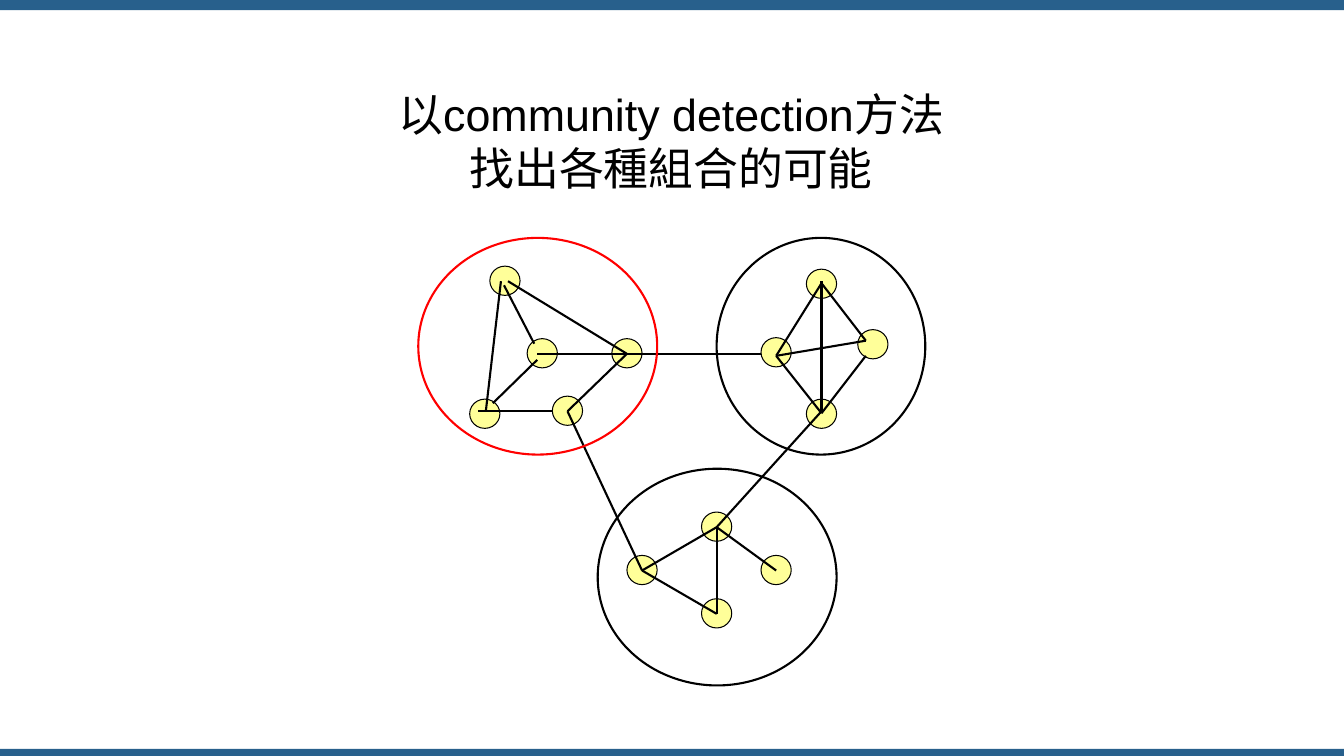
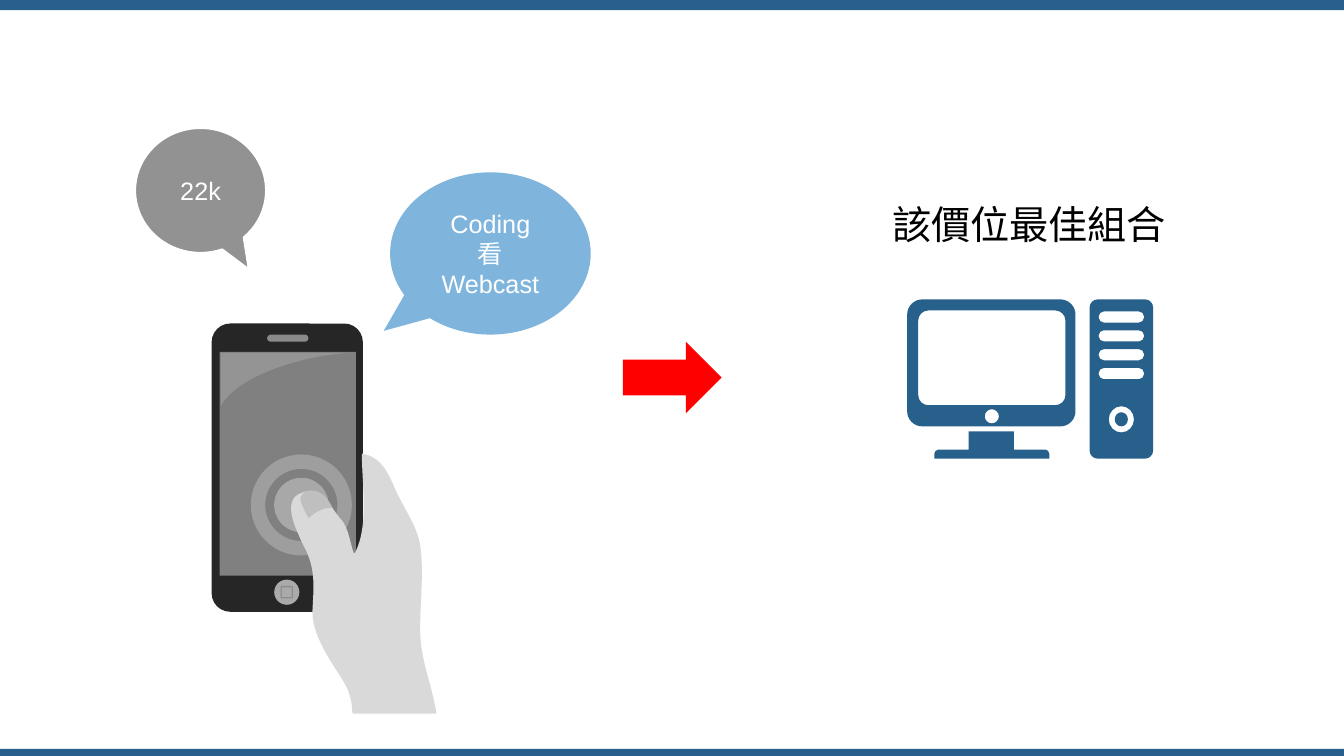
"""Build two slides: communities in a graph, and a phone request answered by a computer."""
from dataclasses import dataclass

from lxml.etree import SubElement
from pptx import Presentation
from pptx.dml.color import RGBColor
from pptx.enum.shapes import MSO_CONNECTOR, MSO_SHAPE
from pptx.enum.text import MSO_ANCHOR, MSO_AUTO_SIZE, PP_ALIGN
from pptx.oxml.ns import qn
from pptx.util import Inches, Pt


@dataclass(frozen=True)
class Theme:
    font: str = "Arial"
    title_size: int = 32
    caption_size: int = 28
    callout_size: int = 18
    blue: str = "28608C"
    sky: str = "7FB5DD"
    red: str = "FF0000"
    yellow: str = "FFFF99"
    black: str = "000000"
    white: str = "FFFFFF"
    dark: str = "262626"
    screen: str = "808080"
    button: str = "ECECEC"
    callout: str = "929292"
    hand: str = "D9D9D9"
    nail: str = "BFBFBF"


theme = Theme()


def paint(shape, fill=None, line=None, width=1.0, opacity=100):
    """Set fill, line and opacity, and drop the shadow."""
    shape.shadow.inherit = False
    if fill:
        shape.fill.solid()
        shape.fill.fore_color.rgb = RGBColor.from_string(fill)
    else:
        shape.fill.background()
    if line:
        shape.line.color.rgb = RGBColor.from_string(line)
        shape.line.width = Pt(width)
    else:
        shape.line.fill.background()
    if opacity < 100:
        for colour in shape.element.spPr.iter(qn("a:srgbClr")):
            SubElement(colour, qn("a:alpha")).set("val", str(opacity * 1000))


def draw_outline(page, contours, fill, opacity=100):
    """Draw closed contours; each step ends in a point, and a six-number step is a cubic curve."""
    builder = None
    for contour in contours:
        ends = [(round(step[-2] * 1000), round(step[-1] * 1000)) for step in contour]
        if builder is None:
            builder = page.shapes.build_freeform(*ends[0], scale=Inches(1) / 1000)
        else:
            builder.move_to(*ends[0])
        builder.add_line_segments(ends[1:], close=False)
    outline = builder.convert_to_shape()
    route = next(outline.element.iter(qn("a:path")))
    segments = list(route)
    steps = [step for contour in contours for step in contour]
    left, top = (min(round(step[axis] * 1000) for step in steps) for axis in (-2, -1))
    for segment, step in zip(segments, steps):
        if len(step) == 6:
            curve = SubElement(route, qn("a:cubicBezTo"))
            for x, y in zip(step[::2], step[1::2]):
                point = SubElement(curve, qn("a:pt"))
                point.set("x", str(round(x * 1000) - left))
                point.set("y", str(round(y * 1000) - top))
            route.replace(segment, curve)
    for segment in segments[1:]:
        if segment.tag == qn("a:moveTo"):
            segment.addprevious(segment.makeelement(qn("a:close")))
    SubElement(route, qn("a:close"))
    paint(outline, fill, opacity=opacity)


deck = Presentation()
deck.slide_width, deck.slide_height = Inches(40 / 3), Inches(7.5)
layout = deck.slide_layouts[5]
graph_page, phone_page = (deck.slides.add_slide(layout) for number in range(2))

for index, (top, height) in enumerate([(0, 0.1), (7.43, 0.07)]):
    band = graph_page.shapes.add_shape(
        MSO_SHAPE.RECTANGLE, 0, Inches(top), deck.slide_width, Inches(height))
    paint(band, theme.blue)
    band.element.nvSpPr.cNvPr.id = 20 + index
    deck.slide_master.shapes.element.append(band.element)

for page, text, place, size, align in [
    (graph_page, "以community detection方法\n找出各種組合的可能", (3.83, 0.81, 5.66, 1.18),
     theme.title_size, PP_ALIGN.CENTER),
    (phone_page, "該價位最佳組合", (8.75, 1.94, 2.95, 0.57), theme.caption_size, PP_ALIGN.LEFT),
]:
    title = page.shapes.title
    title.left, title.top, title.width, title.height = map(Inches, place)
    frame = title.text_frame
    frame.text = text
    frame.word_wrap = True
    frame.auto_size = MSO_AUTO_SIZE.SHAPE_TO_FIT_TEXT
    frame.vertical_anchor = MSO_ANCHOR.TOP
    for para in frame.paragraphs:
        para.alignment = align
        para.font.name, para.font.size = theme.font, Pt(size)
        para.font.color.rgb = RGBColor.from_string(theme.black)

for left, top in [
    (4.86, 2.64), (5.23, 3.36), (5.48, 3.93), (6.07, 3.36), (4.66, 3.96),
    (8, 2.67), (7.55, 3.35), (8.51, 3.27), (8, 3.96),
    (6.22, 5.51), (6.96, 5.08), (6.96, 5.94), (7.55, 5.51),
]:
    node = graph_page.shapes.add_shape(
        MSO_SHAPE.OVAL, Inches(left), Inches(top), Inches(0.3), Inches(0.29))
    paint(node, theme.yellow, theme.black, 0.75)

for ends in [
    (5, 2.83, 5.3, 3.41), (4.97, 2.79, 4.82, 4.08), (5.33, 3.57, 4.89, 4),
    (5.33, 3.51, 6.22, 3.51), (4.74, 4.08, 5.48, 4.08), (6.22, 3.51, 5.63, 4.08),
    (5.04, 2.79, 6.22, 3.51), (7.7, 3.53, 8.15, 2.81), (8.15, 2.81, 8.59, 3.38),
    (7.7, 3.53, 8.15, 4.1), (8.59, 3.53, 8.15, 4.1), (6.22, 3.51, 7.55, 3.51),
    (7.7, 3.53, 8.59, 3.38), (8.15, 2.79, 8.15, 4.08), (6.37, 5.66, 7.11, 5.23),
    (7.11, 5.23, 7.11, 6.09), (6.37, 5.66, 7.11, 6.09), (5.63, 4.08, 6.37, 5.66),
    (7.11, 5.23, 8.15, 4.08), (7.11, 5.23, 7.7, 5.66),
]:
    edge = graph_page.shapes.add_connector(MSO_CONNECTOR.STRAIGHT, *map(Inches, ends))
    edge.line.color.rgb = RGBColor.from_string(theme.black)
    edge.line.width = Pt(1.5)
    SubElement(edge.element.spPr, qn("a:effectLst"))

for left, top, width, colour in [
    (4.15, 2.36, 2.37, theme.red), (7.11, 2.36, 2.07, theme.black), (5.93, 4.65, 2.37, theme.black),
]:
    community = graph_page.shapes.add_shape(
        MSO_SHAPE.OVAL, Inches(left), Inches(top), Inches(width), Inches(2.15))
    paint(community, line=colour, width=1.5)

glare = [(2.19, 3.5), (3.51, 3.5), (3.07, 3.51, 2.36, 3.71, 2.19, 4.03)]
hand = [
    (3.59, 4.5), (3.78, 4.53, 3.85, 4.69, 3.92, 4.85), (4, 5.04, 4.14, 5.21, 4.17, 5.42),
    (4.21, 5.71, 4.16, 6.01, 4.17, 6.3), (4.18, 6.57, 4.29, 6.81, 4.33, 7.08), (3.5, 7.08),
    (3.48, 6.99, 3.51, 7.01, 3.45, 6.84), (3.38, 6.68, 3.09, 6.35, 3.1, 6.06),
    (3.11, 5.84, 3.14, 5.64, 3.01, 5.41), (2.97, 5.32, 2.87, 5.13, 2.89, 5.01),
    (2.9, 4.95, 2.93, 4.91, 2.99, 4.89),
    (3.19, 4.8, 3.3, 5.07, 3.39, 5.16), (3.48, 5.26, 3.5, 5.58, 3.53, 5.47),
    (3.66, 5.19, 3.59, 4.8, 3.59, 4.5),
]
nail = [
    (3.05, 4.87), (3.2, 4.84, 3.27, 4.98, 3.3, 5.04), (3.24, 5.03, 3.15, 5.06, 3.06, 5.14),
    (3.02, 5.06, 2.98, 4.99, 2.98, 4.94), (2.99, 4.91, 3.01, 4.88, 3.05, 4.87),
]

for kind, place, corner, style in [
    (MSO_SHAPE.ROUNDED_RECTANGLE, (2.1, 3.21, 1.5, 2.86), 0.123, {"fill": theme.dark}),
    (MSO_SHAPE.RECTANGLE, (2.18, 3.49, 1.35, 2.22), None, {"fill": theme.screen}),
    (MSO_SHAPE.ROUNDED_RECTANGLE, (2.65, 3.32, 0.41, 0.07), 0.5,
     {"fill": theme.button, "opacity": 51}),
    (MSO_SHAPE.OVAL, (2.72, 5.75, 0.25, 0.25), None, {"fill": theme.button, "opacity": 67}),
    (MSO_SHAPE.RECTANGLE, (2.79, 5.82, 0.11, 0.11), None, {"line": theme.dark, "opacity": 22}),
    (MSO_SHAPE.OVAL, (2.72, 4.74, 0.54, 0.54), None, {"fill": theme.white, "opacity": 32}),
    (MSO_SHAPE.OVAL, (2.56, 4.58, 0.86, 0.86), None,
     {"line": theme.white, "width": 10.25, "opacity": 24}),
]:
    part = phone_page.shapes.add_shape(kind, *map(Inches, place))
    if corner:
        part.adjustments[0] = corner
    paint(part, **style)

draw_outline(phone_page, [glare], theme.white, 16)
draw_outline(phone_page, [hand], theme.hand)
draw_outline(phone_page, [nail], theme.nail)

for text, place, tail, style in [
    ("Coding\n看Webcast", (3.87, 1.71, 1.99, 1.61), (-0.532, 0.477), {"fill": theme.sky}),
    ("22k", (1.34, 1.27, 1.3, 1.24), (0.369, 0.632),
     {"fill": theme.callout, "line": theme.white, "width": 1.5}),
]:
    callout = phone_page.shapes.add_shape(MSO_SHAPE.OVAL_CALLOUT, *map(Inches, place))
    callout.adjustments[0], callout.adjustments[1] = tail
    paint(callout, **style)
    callout.text_frame.text = text
    callout.text_frame.vertical_anchor = MSO_ANCHOR.MIDDLE
    for para in callout.text_frame.paragraphs:
        para.alignment = PP_ALIGN.CENTER
        para.font.name, para.font.size = theme.font, Pt(theme.callout_size)
        para.font.color.rgb = RGBColor.from_string(theme.white)

arrow = phone_page.shapes.add_shape(
    MSO_SHAPE.RIGHT_ARROW, Inches(6.18), Inches(3.39), Inches(0.98), Inches(0.71))
paint(arrow, theme.red)

stand = [
    (9.61, 4.28), (10.06, 4.28), (10.06, 4.46), (10.37, 4.46),
    (10.39, 4.46, 10.41, 4.48, 10.41, 4.5), (10.41, 4.55), (9.27, 4.55), (9.27, 4.5),
    (9.27, 4.48, 9.29, 4.46, 9.31, 4.46), (9.61, 4.46),
]
monitor = [(9, 2.97, 1.67, 1.26, 0.15), (9.11, 3.08, 1.46, 0.94, 0.1), (9.77, 4.06, 0.14, 0.14, 0.07)]
slots = [(10.9, 3.09 + 0.187 * row, 0.45, 0.11, 0.05) for row in range(4)]
tower = [(10.81, 2.97, 0.63, 1.58, 0.08), (11, 4.03, 0.25, 0.26, 0.13), (11.06, 4.09, 0.13, 0.14, 0.07)]
computer = [stand]
for left, top, width, height, radius in monitor + tower + slots:
    right, bottom = left + width, top + height
    across, down = min(radius, width / 2), min(radius, height / 2)
    pull_x, pull_y = across * 0.45, down * 0.45
    corners = [
        (left + across, top), (right - across, top),
        (right - pull_x, top, right, top + pull_y, right, top + down), (right, bottom - down),
        (right, bottom - pull_y, right - pull_x, bottom, right - across, bottom),
        (left + across, bottom),
        (left + pull_x, bottom, left, bottom - pull_y, left, bottom - down), (left, top + down),
        (left, top + pull_y, left + pull_x, top, left + across, top),
    ]
    round_only = across == width / 2 and down == height / 2
    computer.append(corners[:1] + corners[2::2] if round_only else corners)
draw_outline(phone_page, computer, theme.blue)

deck.save("out.pptx")
